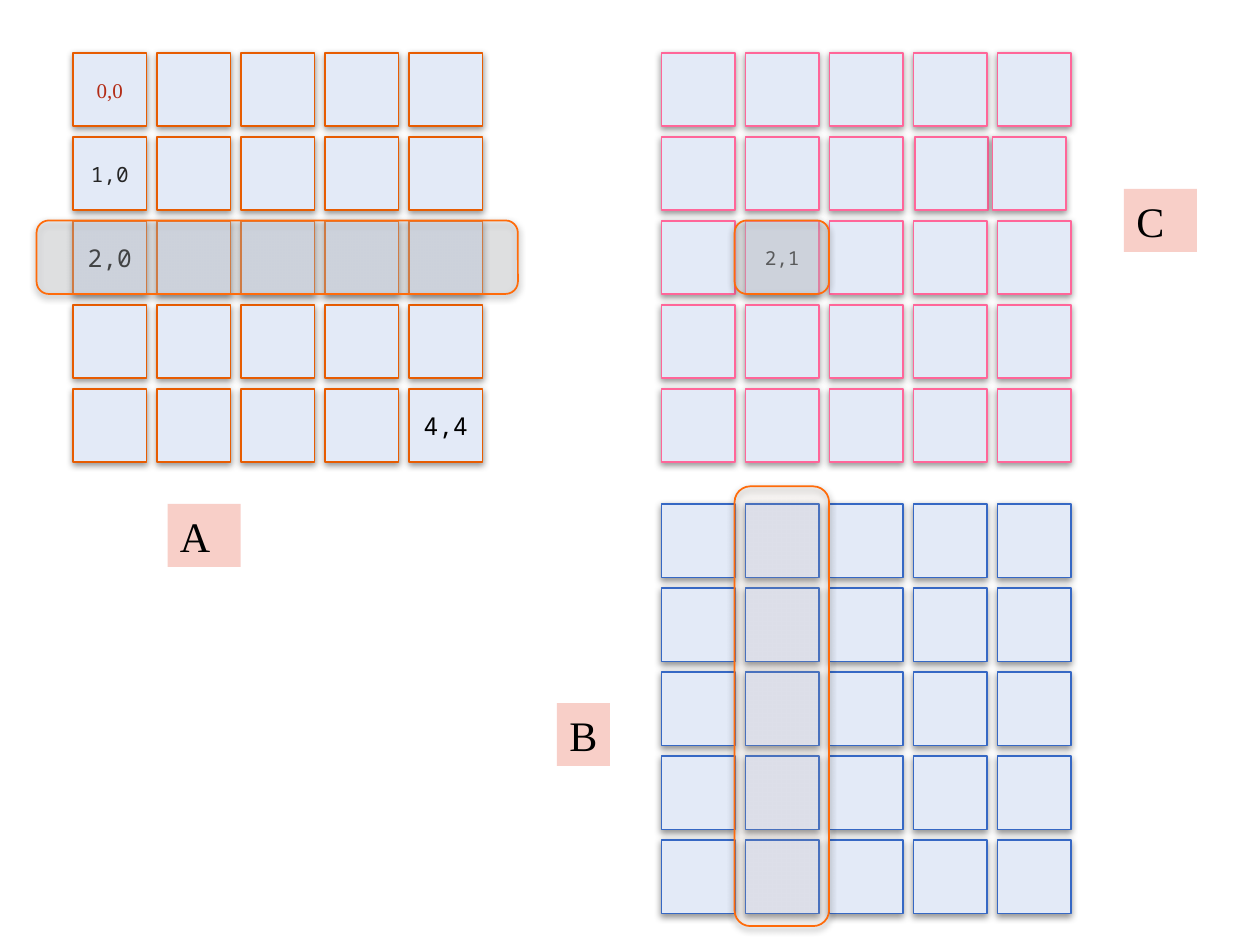
from lxml import etree
from pptx import Presentation
from pptx import util as u
from pptx.dml.color import RGBColor
from pptx.enum import shapes, text
from pptx.oxml import ns

CELL_FILL = RGBColor(0xE3, 0xEA, 0xF7)
ORANGE = RGBColor(0xE7, 0x5C, 0x01)
BLUE = RGBColor(0x36, 0x68, 0xC4)
PINK = RGBColor(0xFF, 0x66, 0x99)
LABEL_FILL = RGBColor(0xF8, 0xCF, 0xC8)
MARK_LINE = RGBColor(0xFF, 0x6B, 0x0A)
MARK_GREY = RGBColor(0xDC, 0xDF, 0xE3)
MARK_PEACH = RGBColor(0xFF, 0xE7, 0xD7)
BLACK = RGBColor(0, 0, 0)
DARK = RGBColor(0x26, 0x26, 0x26)
RED = RGBColor(0xB3, 0x2C, 0x16)

SERIF = "Times New Roman"
MONO = "Noto Sans Mono"

COUNT = 5
CELL = 7 / 12
PITCH = 2 / 3


def add_child(parent, tag, **attributes):
    child = etree.SubElement(parent, ns.qn(tag))
    for name, value in attributes.items():
        child.set(name, str(value))
    return child


def add_shadow(shape):
    """Soft black shadow falling straight down."""
    effects = shape.element.spPr.find(ns.qn("a:effectLst"))
    outer = add_child(effects, "a:outerShdw", blurRad=u.Pt(4), dist=u.Pt(1.6),
                      dir=90 * 60000, rotWithShape=0)
    color = add_child(outer, "a:srgbClr", val="000000")
    add_child(color, "a:alpha", val=42000)


def set_opacity(shape, percent):
    color = shape.element.spPr.find(ns.qn("a:solidFill")).find(ns.qn("a:srgbClr"))
    add_child(color, "a:alpha", val=percent * 1000)


def add_box(page, left, top, width, height, fill, line=None,
            kind=shapes.MSO_SHAPE.RECTANGLE):
    box = page.shapes.add_shape(kind, u.Inches(left), u.Inches(top),
                                u.Inches(width), u.Inches(height))
    box.shadow.inherit = False
    box.fill.solid()
    box.fill.fore_color.rgb = fill
    if line is None:
        box.line.fill.background()
    else:
        box.line.color.rgb = line
        box.line.width = u.Pt(1)
        add_shadow(box)
    return box


def write(box, words, size=14, font=MONO, color=BLACK,
          align=text.PP_ALIGN.CENTER, anchor=text.MSO_ANCHOR.MIDDLE):
    frame = box.text_frame
    frame.word_wrap = True
    frame.vertical_anchor = anchor
    para = frame.paragraphs[0]
    para.alignment = align
    span = para.add_run()
    span.text = words
    span.font.size = u.Pt(size)
    span.font.name = font
    span.font.color.rgb = color


def add_matrix(page, left, top, line, entries=None, shifts=None):
    """Square grid; entries and shifts are keyed by (row, column)."""
    entries, shifts = entries or {}, shifts or {}
    for row in range(COUNT):
        for column in range(COUNT):
            place = (row, column)
            cell = add_box(page, left + column * PITCH + shifts.get(place, 0),
                           top + row * PITCH, CELL, CELL, CELL_FILL, line)
            if place in entries:
                write(cell, **entries[place])


def add_label(page, words, left, top, width):
    label = add_box(page, left, top, width, 0.5, LABEL_FILL)
    write(label, words, size=24, font=SERIF, align=text.PP_ALIGN.LEFT,
          anchor=text.MSO_ANCHOR.TOP)
    label.text_frame.auto_size = text.MSO_AUTO_SIZE.SHAPE_TO_FIT_TEXT


def add_highlight(page, left, top, width, height, fill, opacity):
    mark = add_box(page, left, top, width, height, fill, MARK_LINE,
                   shapes.MSO_SHAPE.ROUNDED_RECTANGLE)
    set_opacity(mark, opacity)


def main():
    deck = Presentation()
    deck.slide_width, deck.slide_height = u.Inches(10), u.Inches(7.5)
    page = deck.slides.add_slide(deck.slide_layouts[6])

    # Matrices A, B and C
    add_matrix(page, 0.58, 0.42, ORANGE, entries={
        (0, 0): dict(words="0,0", size=12, font=SERIF, color=RED),
        (1, 0): dict(words="1,0", size=12, color=DARK),
        (2, 0): dict(words="2,0"),
        (4, 4): dict(words="4,4"),
    })
    add_matrix(page, 5.25, 4, BLUE)
    add_matrix(page, 5.25, 0.42, PINK,
               entries={(2, 1): dict(words="2,1", size=11, color=DARK)},
               shifts={(1, 3): 0.01, (1, 4): -0.04})

    # Matrix names
    add_label(page, "A", 1.33, 4, 0.58)
    add_label(page, "C", 8.92, 1.5, 0.58)
    add_label(page, "B", 4.42, 5.58, 0.42)

    # Row of A times column of B gives one cell of C
    add_highlight(page, 0.29, 1.75, 3.82, CELL, MARK_GREY, 30)
    add_highlight(page, 5.83, 3.86, 0.75, 3.49, MARK_PEACH, 11)
    add_highlight(page, 5.83, 1.75, 0.75, CELL, MARK_GREY, 30)

    deck.save("out.pptx")


if __name__ == "__main__":
    main()
